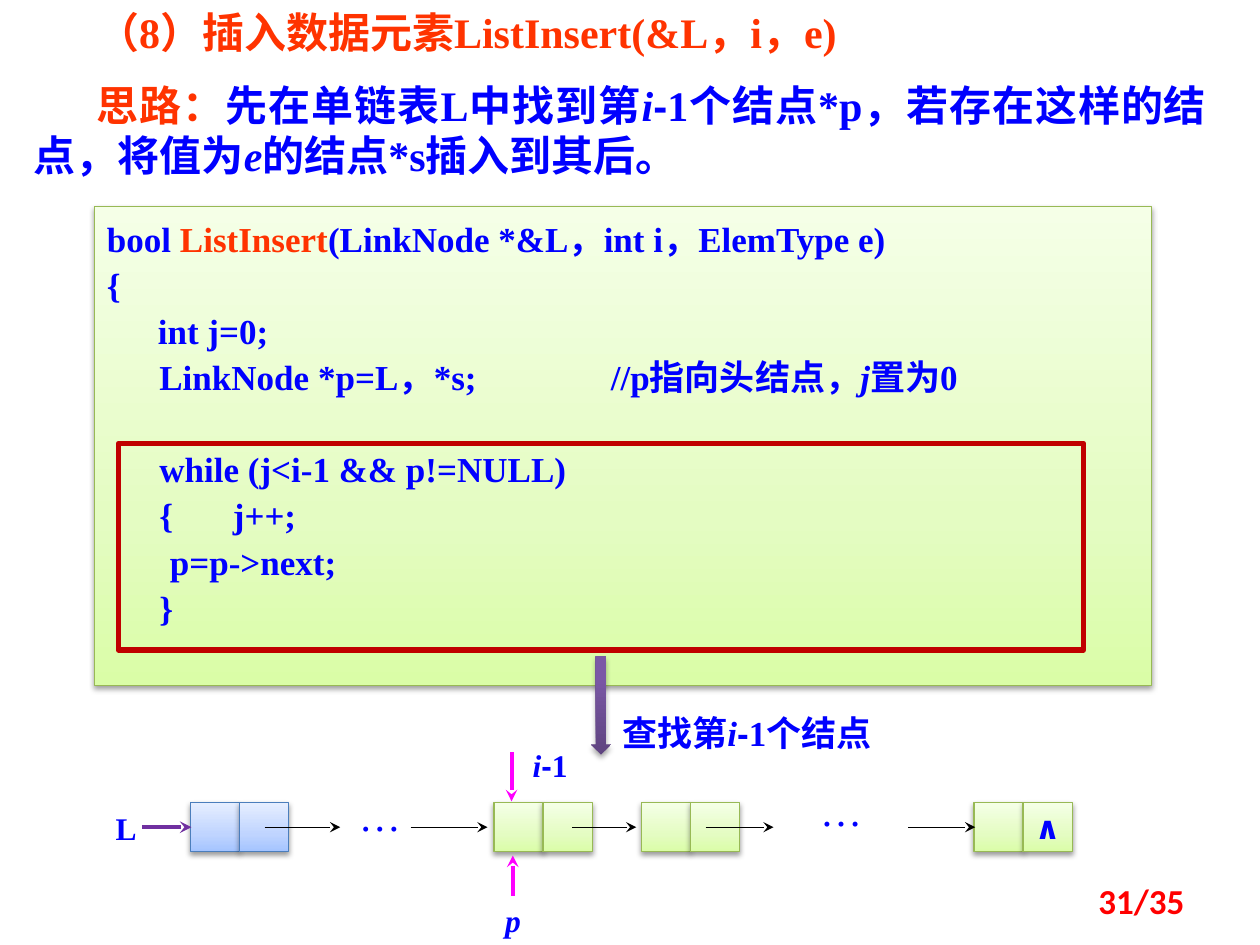
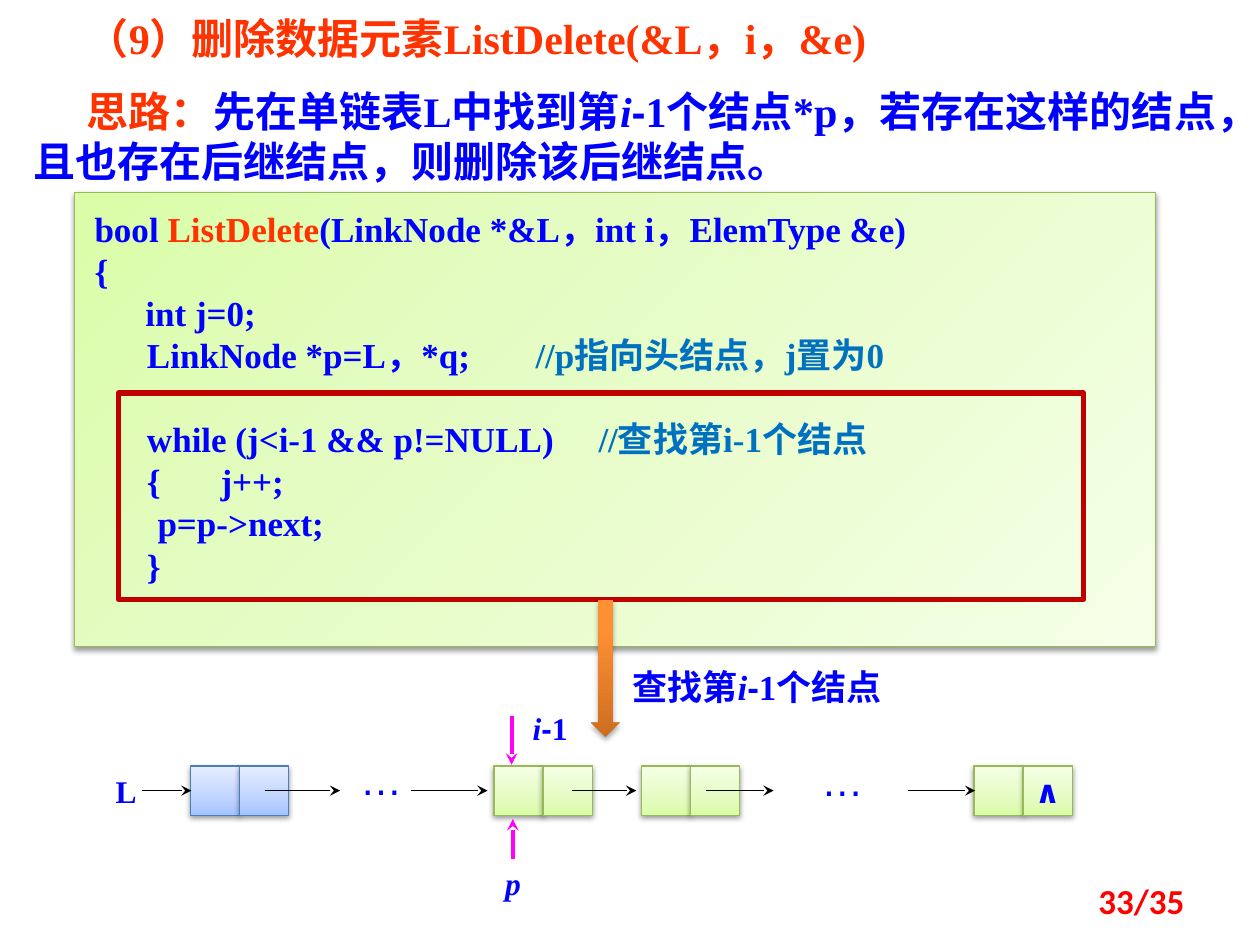
from lxml import etree
from pptx import Presentation
from pptx.dml.color import RGBColor
from pptx.enum.lang import MSO_LANGUAGE_ID
from pptx.enum.shapes import MSO_CONNECTOR, MSO_SHAPE
from pptx.enum.text import MSO_ANCHOR, MSO_AUTO_SIZE, PP_ALIGN
from pptx.oxml import parse_xml
from pptx.oxml.ns import nsdecls, qn
from pptx.util import Inches, Pt

RECT, DOWN_ARROW = MSO_SHAPE.RECTANGLE, MSO_SHAPE.DOWN_ARROW
STRAIGHT = MSO_CONNECTOR.STRAIGHT
LEFT, CENTER, RIGHT, JUSTIFY = PP_ALIGN.LEFT, PP_ALIGN.CENTER, PP_ALIGN.RIGHT, PP_ALIGN.JUSTIFY
TOP, MIDDLE = MSO_ANCHOR.TOP, MSO_ANCHOR.MIDDLE
NO_FIT = MSO_AUTO_SIZE.NONE
CHINESE = MSO_LANGUAGE_ID.SIMPLIFIED_CHINESE

BLUE = RGBColor(0x00, 0x00, 0xFF)
ORANGE_RED = RGBColor(0xFF, 0x33, 0x00)
COMMENT_BLUE = RGBColor(0x00, 0x70, 0xC0)
RED = RGBColor(0xFF, 0x00, 0x00)
DARK_RED = RGBColor(0xC0, 0x00, 0x00)
PURPLE = RGBColor(0x70, 0x30, 0xA0)
MAGENTA = RGBColor(0xFF, 0x00, 0xFF)
BLACK = RGBColor(0x00, 0x00, 0x00)
GREEN_LINE = RGBColor(0x98, 0xB9, 0x55)
NODE_LINE = RGBColor(0x4B, 0x7E, 0xBC)


def gradient(*stops):
    return [(pos, RGBColor.from_string(color)) for pos, color in stops]


GREEN_FILL = gradient((0, "DAFDA7"), (35, "E4FCC2"), (100, "F5FFE7"))
BLUE_FILL = gradient((0, "A4C4FF"), (35, "BFD4FF"), (100, "E6EEFF"))
PURPLE_FILL = gradient((0, "5F4480"), (80, "7B58A6"), (100, "7C57A8"))
ORANGE_FILL = gradient((0, "CC6E20"), (80, "FF9034"), (100, "FF9136"))

SERIF, ARIAL, CALIBRI, SYMBOL = "Times New Roman", "Arial", "Calibri", "DejaVu Sans"
CELL = 0.39
ITALIC = {"italic": True}
RED_TEXT = {"color": ORANGE_RED}
COMMENT = {"color": COMMENT_BLUE}
I_MINUS = [("i", ITALIC), ("-", {"font": ARIAL})]
STEP_LABEL = [("查找第", {}), *I_MINUS, ("1个结点", {})]
LOOP_LINES = [
    [("      {\tj++;", {})],
    [("\tp=p->next;", {})],
    [("      }", {})],
]


def add_runs(p, runs, size=18, color=BLUE, font=SERIF, bold=True):
    for text, change in runs:
        r = p.add_run()
        r.text = text
        f = r.font
        f.size = Pt(size)
        f.name = change.get("font", font)
        f.color.rgb = change.get("color", color)
        f.bold = bold
        f.italic = change.get("italic", False)
        f.language_id = CHINESE


def add_label(slide, x, y, w, h, runs, align=LEFT, anchor=TOP, first_indent=0, **style):
    tf = slide.shapes.add_textbox(Inches(x), Inches(y), Inches(w), Inches(h)).text_frame
    tf.word_wrap = True
    tf.vertical_anchor = anchor
    p = tf.paragraphs[0]
    p.alignment = align
    p._p.get_or_add_pPr().set("indent", str(Inches(first_indent)))
    add_runs(p, runs, **style)


def fill_gradient(sp, stops, angle):
    sp.fill.gradient()
    sp.fill.gradient_angle = 0
    grad = sp._element.spPr.find(qn("a:gradFill"))
    gs_list = grad.find(qn("a:gsLst"))
    for gs in list(gs_list):
        gs_list.remove(gs)
    for pos, color in stops:
        gs = etree.SubElement(gs_list, qn("a:gs"), pos=str(pos * 1000))
        etree.SubElement(gs, qn("a:srgbClr"), val=str(color))
    grad.find(qn("a:lin")).set("ang", str(angle * 60000))


def add_shadow(sp, alpha, distance):
    sp._element.spPr.append(parse_xml(
        f'<a:effectLst {nsdecls("a")}><a:outerShdw blurRad="{Pt(3.1)}" dist="{Pt(distance)}" '
        f'dir="5400000" rotWithShape="0"><a:srgbClr val="000000"><a:alpha val="{alpha * 1000}"/>'
        '</a:srgbClr></a:outerShdw></a:effectLst>'))


def add_panel(slide, x, y, w, h, stops, line=None, angle=270, kind=RECT, shadow=(38, 1.6)):
    sp = slide.shapes.add_shape(kind, Inches(x), Inches(y), Inches(w), Inches(h))
    fill_gradient(sp, stops, angle)
    if line is None:
        sp.line.fill.background()
    else:
        sp.line.color.rgb = line
        sp.line.width = Pt(0.75)
    add_shadow(sp, *shadow)
    return sp


def add_arrow(slide, x1, y1, x2, y2, color=BLACK, width=0.75):
    c = slide.shapes.add_connector(STRAIGHT, Inches(x1), Inches(y1), Inches(x2), Inches(y2))
    c.line.color.rgb = color
    c.line.width = Pt(width)
    etree.SubElement(c.line._get_or_add_ln(), qn("a:tailEnd"), type="stealth")
    etree.SubElement(c._element.spPr, qn("a:effectLst"))


def add_heading(slide, y, w, indent, title, idea):
    sp = slide.shapes.title
    sp.left, sp.top, sp.width, sp.height = Inches(0.17), Inches(y), Inches(w), Inches(0.5)
    tf = sp.text_frame
    tf.word_wrap = True
    tf.auto_size = NO_FIT
    tf.vertical_anchor = TOP
    p = tf.paragraphs[0]
    p.alignment = LEFT
    p._p.get_or_add_pPr().set("marL", str(Inches(indent)))
    add_runs(p, [(title, {})], size=24, color=ORANGE_RED)
    add_label(slide, 0.17, y + 0.58, w, 0.93, [("思路：", RED_TEXT), *idea],
              JUSTIFY, first_indent=indent, size=24)


def add_code(slide, x, y, w, h, lines, angle=270, spacing=1.0, gap=24, insets=(0.1, 0.05)):
    sp = add_panel(slide, x, y, w, h, GREEN_FILL, GREEN_LINE, angle)
    tf = sp.text_frame
    tf.word_wrap = True
    tf.vertical_anchor = TOP
    tf.margin_left = tf.margin_right = Inches(insets[0])
    tf.margin_top = tf.margin_bottom = Inches(insets[1])
    for i, runs in enumerate(lines):
        p = tf.paragraphs[0] if i == 0 else tf.add_paragraph()
        p.alignment = LEFT
        p.line_spacing = spacing
        if "while" in runs[0][0]:
            p.space_before = Pt(gap)
        add_runs(p, runs, size=20)


def add_loop_frame(slide, y):
    sp = slide.shapes.add_shape(RECT, Inches(0.94), Inches(y), Inches(7.66), Inches(1.64))
    sp.shadow.inherit = False
    sp.fill.background()
    sp.line.color.rgb = DARK_RED
    sp.line.width = Pt(3)


def add_node(slide, x, y, stops=GREEN_FILL, line=GREEN_LINE):
    return [add_panel(slide, x + i * CELL, y, CELL, CELL, stops, line) for i in range(2)][-1]


def add_linked_list(slide, y, dots, dots_font, head_color, head_width):
    mid = y + CELL / 2
    add_node(slide, 1.51, y, BLUE_FILL, NODE_LINE)
    for x in (3.92, 5.09):
        add_node(slide, x, y)
    tf = add_node(slide, 7.73, y).text_frame
    tf.word_wrap = False
    tf.vertical_anchor = MIDDLE
    tf.paragraphs[0].alignment = CENTER
    add_runs(tf.paragraphs[0], [("∧", {})], font=SYMBOL)

    add_arrow(slide, 1.13, mid, 1.52, mid, head_color, head_width)
    for x1, x2 in ((2.1, 2.7), (3.26, 3.87), (4.54, 5.05), (5.6, 6.14), (7.21, 7.74)):
        add_arrow(slide, x1, mid, x2, mid)
    add_arrow(slide, 4.06, y - 0.4, 4.06, y - 0.01, MAGENTA, 2.25)
    add_arrow(slide, 4.07, y + 0.74, 4.07, y + 0.42, MAGENTA, 2.25)

    for x, dots_y in dots:
        add_label(slide, x, dots_y, 0.79, 0.5, [("…", {})], size=24, font=dots_font, bold=False)
    add_label(slide, 0.82, y, 0.29, 0.4, [("L", {})])
    add_label(slide, 4.13, y - 0.5, 0.64, 0.4, [*I_MINUS, ("1", {})])
    add_label(slide, 3.91, y + 0.73, 0.39, 0.4, [("p", ITALIC)])


def add_step(slide, x, y, w, h, stops, label_x, label_y):
    add_panel(slide, x, y, w, h, stops, kind=DOWN_ARROW, shadow=(35, 1.8))
    add_label(slide, label_x, label_y, 2.81, 0.44, STEP_LABEL, size=20)


def add_page_number(slide, number):
    add_label(slide, 7.17, 6.95, 2.33, 0.4, [(f"{number}/35", {})], RIGHT, MIDDLE,
              size=20, color=RED, font=CALIBRI)


def build_insert(slide):
    add_heading(slide, 0, 9.5, 0.5, "（8）插入数据元素ListInsert(&L，i，e)", [
        ("先在单链表L中找到第", {}), *I_MINUS,
        ("1个结点*p，若存在这样的结点，将值为", {}), ("e", ITALIC),
        ("的结点*s插入到其后。", {})])
    add_code(slide, 0.75, 1.64, 8.39, 3.8, [
        [("bool ", {}), ("ListInsert", RED_TEXT), ("(LinkNode *&L，int i，ElemType e)", {})],
        [("{", {})],
        [(" 　 int j=0;", {})],
        [("      LinkNode *p=L，*s;          \t//p指向头结点，", {}), ("j", ITALIC), ("置为0", {})],
        [("      while (j<i-1 && p!=NULL)", {})],
        *LOOP_LINES], spacing=1.1, gap=26.3)
    add_linked_list(slide, 6.37, ((2.75, 6.22), (6.41, 6.18)), SERIF, PURPLE, 2.25)
    add_loop_frame(slide, 3.52)
    add_step(slide, 4.69, 5.21, 0.16, 0.78, PURPLE_FILL, 4.84, 5.6)
    add_page_number(slide, 31)


def build_delete(slide):
    add_heading(slide, 0.05, 9.58, 0.42, "（9）删除数据元素ListDelete(&L，i，&e)", [
        ("先在单链表L中找到第", {}), *I_MINUS,
        ("1个结点*p，若存在这样的结点，且也存在后继结点，则删除该后继结点。", {})])
    add_code(slide, 0.59, 1.53, 8.58, 3.6, [
        [("bool ", {}), ("ListDelete", RED_TEXT), ("(LinkNode *&L，int i，ElemType &e)", {})],
        [("{", {})],
        [(" 　 int j=0;", {})],
        [("      LinkNode *p=L，*q;\t\t", {}), ("//p指向头结点，j置为0", COMMENT)],
        [("      while (j<i-1 && p!=NULL)\t", {}), ("//查找第i-1个结点", COMMENT)],
        *LOOP_LINES], angle=45, insets=(0.16, 0.12))
    add_linked_list(slide, 6.08, ((2.76, 5.93), (6.42, 5.94)), ARIAL, BLACK, 0.75)
    add_loop_frame(slide, 3.12)
    add_step(slide, 4.69, 4.76, 0.23, 1.09, ORANGE_FILL, 4.92, 5.23)
    add_page_number(slide, 33)


def main():
    prs = Presentation()
    prs.slide_width, prs.slide_height = Inches(10), Inches(7.5)
    for build in (build_insert, build_delete):
        build(prs.slides.add_slide(prs.slide_layouts[5]))
    prs.save("out.pptx")


if __name__ == "__main__":
    main()
